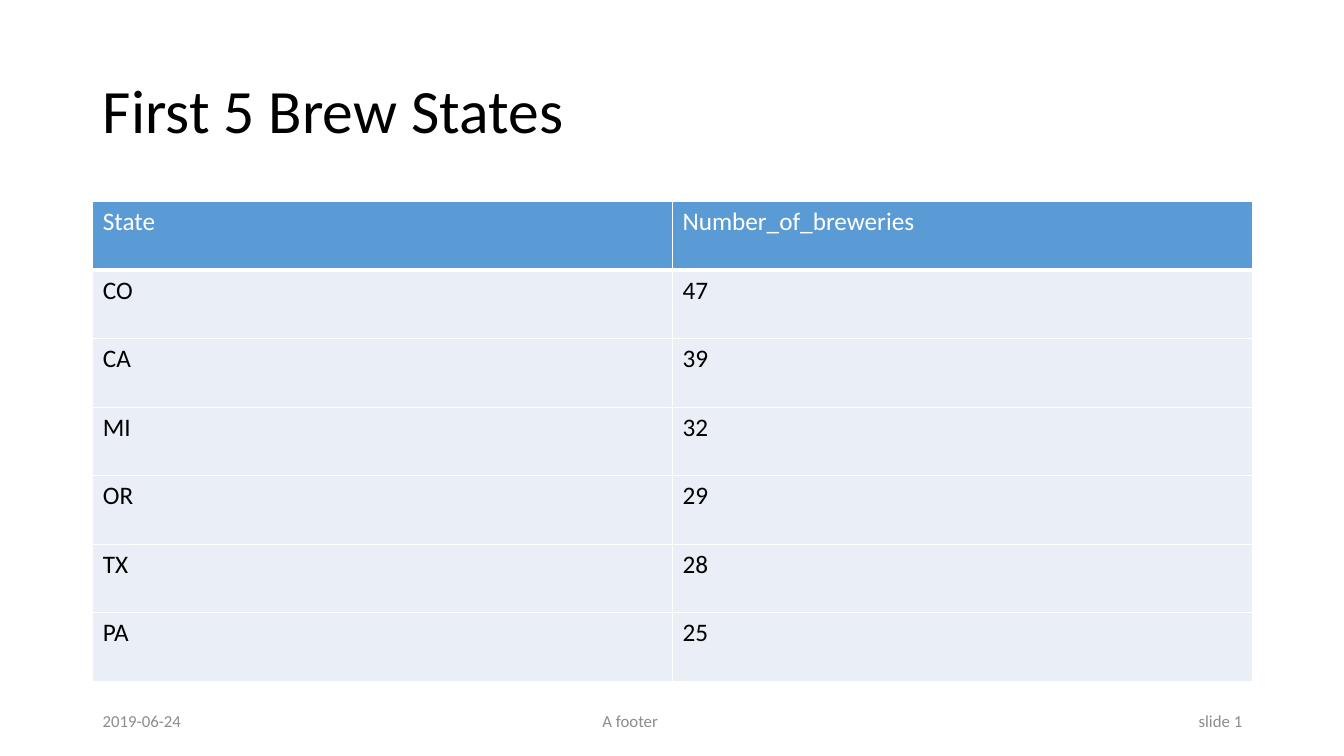
from dataclasses import dataclass

from lxml import etree
from pptx import Presentation
from pptx.dml.color import RGBColor
from pptx.enum.text import MSO_ANCHOR, PP_ALIGN
from pptx.oxml.ns import qn
from pptx.util import Inches, Pt

LEFT, CENTER, RIGHT = PP_ALIGN.LEFT, PP_ALIGN.CENTER, PP_ALIGN.RIGHT
MIDDLE = MSO_ANCHOR.MIDDLE
TITLE_ONLY = 5


@dataclass(frozen=True)
class Theme:
    """Colours, font, type sizes and line widths of the slide."""
    font: str = "Calibri"
    ink: str = "000000"
    paper: str = "FFFFFF"
    muted: str = "8C8C8C"
    header: str = "5B9BD5"
    body: str = "EAEFF7"
    title_size: int = 44
    table_size: int = 18
    footer_size: int = 12
    rule: int = 1
    header_rule: int = 3


THEME = Theme()
WIDTH, HEIGHT = 13.33, 7.5
MARGIN = 0.92
CONTENT = 11.5
FOOTER_TOP, FOOTER_HEIGHT = 6.95, 0.4
BREWERIES = [
    ("State", "Number_of_breweries"),
    ("CO", "47"),
    ("CA", "39"),
    ("MI", "32"),
    ("OR", "29"),
    ("TX", "28"),
    ("PA", "25"),
]


def box(left, top, width, height):
    """Convert a rectangle in inches to slide units."""
    return [Inches(length) for length in (left, top, width, height)]


def write(frame, wording, size, colour, align=LEFT):
    """Put one formatted run into the first paragraph of a text frame."""
    paragraph = frame.paragraphs[0]
    paragraph.alignment = align
    run = paragraph.add_run()
    run.text = wording
    run.font.name = THEME.font
    run.font.size = Pt(size)
    run.font.bold = False
    run.font.color.rgb = RGBColor.from_string(colour)
    return paragraph


def add_title(slide, wording):
    """Place and format the title placeholder."""
    title = slide.shapes.title
    title.left, title.top, title.width, title.height = box(MARGIN, 0.4, CONTENT, 1.45)
    title.text_frame.word_wrap = True
    title.text_frame.vertical_anchor = MIDDLE
    write(title.text_frame, wording, THEME.title_size, THEME.ink).line_spacing = 0.9


def add_footer(slide, wording, left, width, align):
    """Add one grey text to the footer line."""
    footer = slide.shapes.add_textbox(*box(left, FOOTER_TOP, width, FOOTER_HEIGHT))
    footer.text_frame.word_wrap = True
    footer.text_frame.vertical_anchor = MIDDLE
    write(footer.text_frame, wording, THEME.footer_size, THEME.muted, align)


def add_borders(cell, bottom_width):
    """Draw the four cell edges, with a bottom edge of its own width."""
    properties = cell._tc.get_or_add_tcPr()
    for side in "LRTB":
        width = bottom_width if side == "B" else THEME.rule
        edge = etree.SubElement(properties, qn(f"a:ln{side}"), w=str(Pt(width)))
        fill = etree.SubElement(edge, qn("a:solidFill"))
        etree.SubElement(fill, qn("a:srgbClr"), val=THEME.paper)


def add_brewery_table(slide, rows):
    """Add the table with a coloured header row and equal columns and rows."""
    frame = slide.shapes.add_table(len(rows), len(rows[0]), *box(MARGIN, 2, CONTENT, 4.76))
    table = frame.table
    table.horz_banding = False
    for row, values in enumerate(rows):
        is_header = row == 0
        fill = THEME.header if is_header else THEME.body
        ink = THEME.paper if is_header else THEME.ink
        for column, value in enumerate(values):
            cell = table.cell(row, column)
            add_borders(cell, THEME.header_rule if is_header else THEME.rule)
            cell.fill.solid()
            cell.fill.fore_color.rgb = RGBColor.from_string(fill)
            write(cell.text_frame, value, THEME.table_size, ink)


def main():
    """Build and save the slide."""
    deck = Presentation()
    deck.slide_width, deck.slide_height = Inches(WIDTH), Inches(HEIGHT)
    slide = deck.slides.add_slide(deck.slide_layouts[TITLE_ONLY])
    add_title(slide, "First 5 Brew States")
    side_width = 3
    middle_width = 5.35
    add_footer(slide, "A footer", MARGIN + (CONTENT - middle_width) / 2 - 0.42,
               middle_width, CENTER)
    add_footer(slide, "2019-06-24", MARGIN, side_width, LEFT)
    add_footer(slide, "slide 1", MARGIN + CONTENT - side_width, side_width, RIGHT)
    add_brewery_table(slide, BREWERIES)
    deck.save("out.pptx")


if __name__ == "__main__":
    main()
